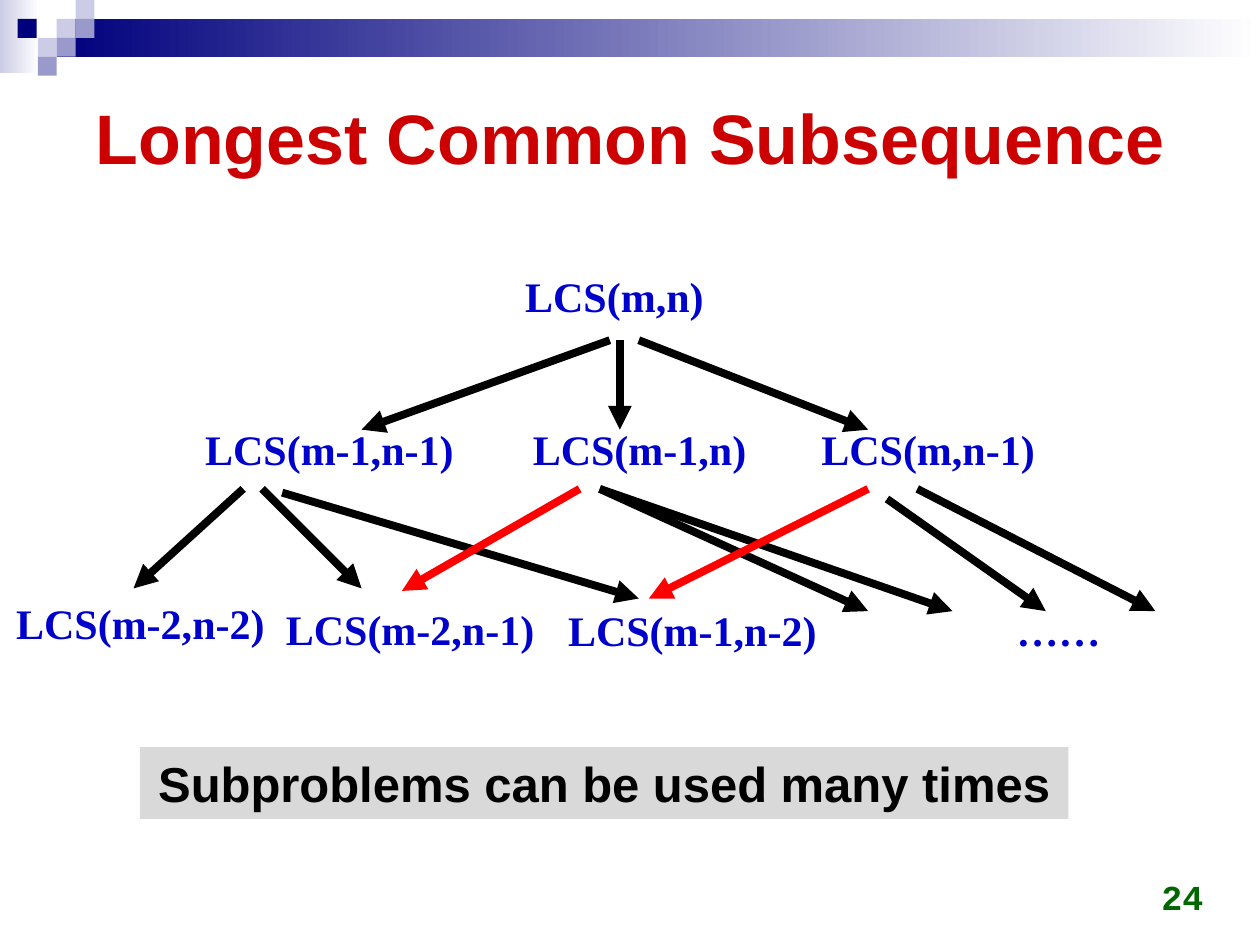
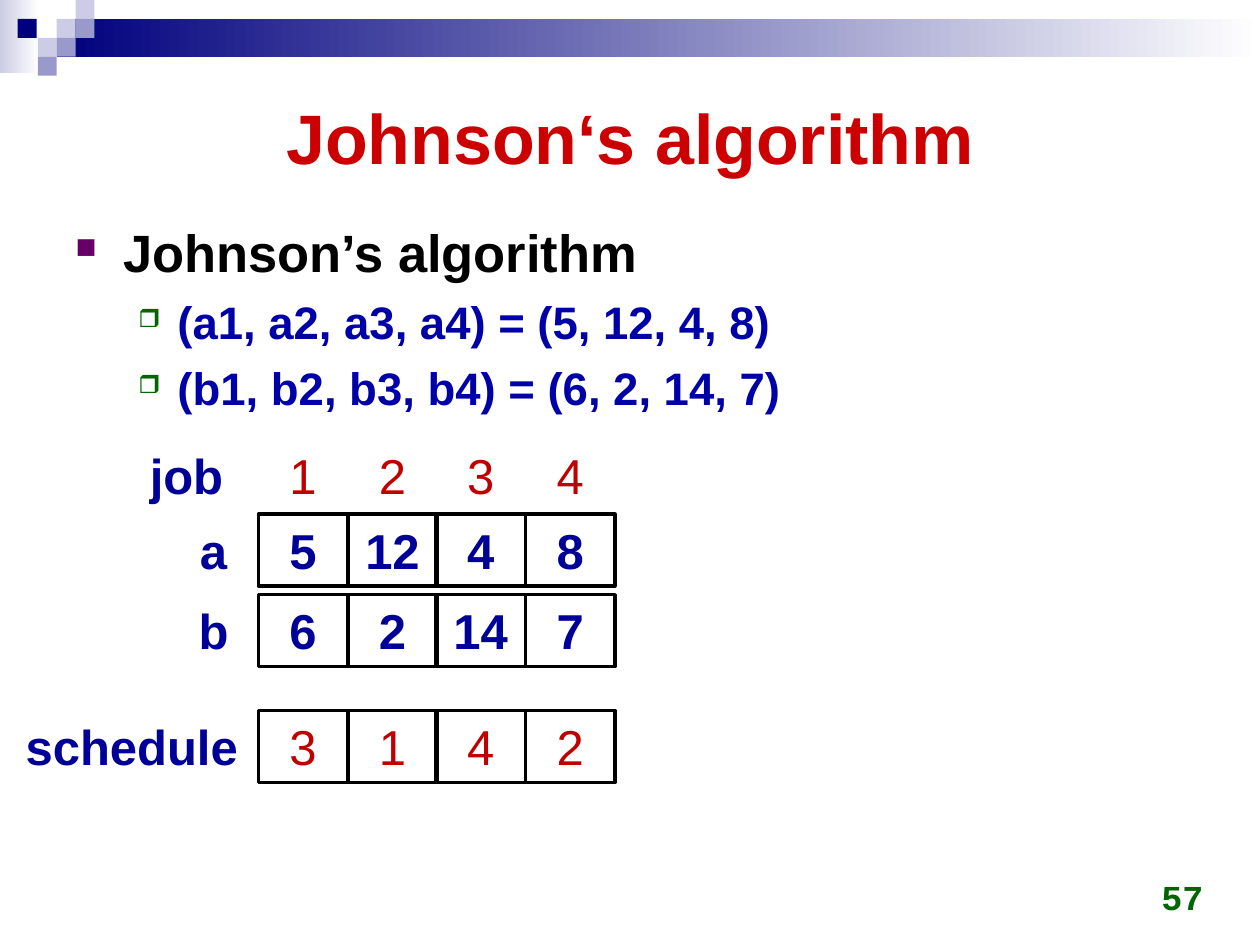
from pptx import Presentation
from pptx.dml.color import RGBColor
from pptx.enum.shapes import MSO_CONNECTOR, MSO_SHAPE
from pptx.enum.text import MSO_ANCHOR, PP_ALIGN
from pptx.oxml.ns import qn
from pptx.util import Emu, Pt
from lxml import etree

# 100 px to the inch
EMU_PER_PX = 9144
PAGE_WIDTH, PAGE_HEIGHT = 1000, 750

LEFT, CENTER, RIGHT = PP_ALIGN.LEFT, PP_ALIGN.CENTER, PP_ALIGN.RIGHT
TOP, MIDDLE, BOTTOM = MSO_ANCHOR.TOP, MSO_ANCHOR.MIDDLE, MSO_ANCHOR.BOTTOM
RECTANGLE = MSO_SHAPE.RECTANGLE
STRAIGHT = MSO_CONNECTOR.STRAIGHT

SANS, SERIF, MONO = "Arial", "Times New Roman", "Courier New"

BLACK = RGBColor(0x00, 0x00, 0x00)
WHITE = RGBColor(0xFF, 0xFF, 0xFF)
RED = RGBColor(0xFF, 0x00, 0x00)
NAVY = RGBColor(0x00, 0x00, 0x7D)
LILAC = RGBColor(0x99, 0x99, 0xCC)
PALE_LILAC = RGBColor(0xCC, 0xCC, 0xE6)
TITLE_RED = RGBColor(0xCC, 0x00, 0x00)
JOB_RED = RGBColor(0xC0, 0x00, 0x00)
GREEN = RGBColor(0x00, 0x66, 0x00)
PURPLE = RGBColor(0x66, 0x00, 0x66)
NODE_BLUE = RGBColor(0x00, 0x00, 0xCC)
LIST_BLUE = RGBColor(0x00, 0x00, 0xA8)
TABLE_BLUE = RGBColor(0x00, 0x00, 0x99)
GREY = RGBColor(0xD9, 0xD9, 0xD9)


def px(*lengths):
    return [Emu(length * EMU_PER_PX) for length in lengths]


# ---- Shared building parts ----
def style_runs(para, size, color, bold=True, font=SANS):
    for span in para.runs:
        span.font.name = font
        span.font.size = Pt(size)
        span.font.bold = bold
        span.font.color.rgb = color


def write(shape, text, size, color, bold=True, font=SANS, align=CENTER, anchor=TOP, wrap=True):
    frame = shape.text_frame
    frame.word_wrap = wrap
    frame.vertical_anchor = anchor
    frame.text = text
    para = frame.paragraphs[0]
    para.alignment = align
    style_runs(para, size, color, bold, font)


def add_label(page, box, text, size, color, **style):
    write(page.shapes.add_textbox(*px(*box)), text, size, color, **style)


def add_rectangle(page, box, fill=None, fade_to=None, outline=None):
    shape = page.shapes.add_shape(RECTANGLE, *px(*box))
    shape.shadow.inherit = False
    if fade_to is not None:
        shape.fill.gradient()
        shape.fill.gradient_angle = 0
        for stop, color, position in zip(shape.fill.gradient_stops, (fill, fade_to), (0, 1)):
            stop.color.rgb = color
            stop.position = position
    elif fill is not None:
        shape.fill.solid()
        shape.fill.fore_color.rgb = fill
    else:
        shape.fill.background()
    if outline is None:
        shape.line.fill.background()
    else:
        shape.line.color.rgb = outline
        shape.line.width = Pt(2)
    return shape


def add_arrow(page, start, end, color):
    arrow = page.shapes.add_connector(STRAIGHT, *px(*start, *end))
    arrow.line.color.rgb = color
    arrow.line.width = Pt(4.5)
    properties = arrow.element.spPr
    etree.SubElement(properties.find(qn("a:ln")), qn("a:tailEnd"), type="triangle")
    etree.SubElement(properties, qn("a:effectLst"))


def add_bullet(para, symbol, color, margin, hanging):
    properties = para._p.get_or_add_pPr()
    properties.set("marL", str(margin * EMU_PER_PX))
    properties.set("indent", str(-hanging * EMU_PER_PX))
    bullet_color = etree.SubElement(properties, qn("a:buClr"))
    etree.SubElement(bullet_color, qn("a:srgbClr"), val=str(color))
    etree.SubElement(properties, qn("a:buSzPct"), val="55000")
    etree.SubElement(properties, qn("a:buChar"), char=symbol)


# ---- Frame of every slide ----
def add_header_band(page):
    add_rectangle(page, (0, 0, 31, 58), PALE_LILAC, WHITE)
    add_rectangle(page, (45, 15, 955, 30), NAVY, WHITE)
    tiles = (
        (45, 15, PALE_LILAC), (60, 0, PALE_LILAC), (60, 15, LILAC),
        (30, 30, PALE_LILAC), (14, 15, NAVY), (45, 30, LILAC), (30, 45, LILAC),
    )
    for left, top, color in tiles:
        add_rectangle(page, (left, top, 15, 15), color)


def add_page(deck, title, number):
    page = deck.slides.add_slide(deck.slide_layouts[6])
    add_header_band(page)
    add_label(page, (50, 50, 900, 116), title, 40, TITLE_RED, anchor=MIDDLE)
    add_label(page, (732, 683, 233, 50), number, 20, GREEN, font=MONO, align=RIGHT, anchor=BOTTOM)
    return page


# ---- Recursion tree ----
def add_recursion_tree(page, left, top):
    nodes = (
        ("LCS(m,n)", 404, 0, 163),
        ("LCS(m-1,n-1)", 150, 121, 236),
        ("LCS(m-1,n)", 410, 121, 205),
        ("LCS(m,n-1)", 639, 121, 205),
        ("LCS(m-2,n-2)", 0, 259, 236),
        ("LCS(m-2,n-1)", 214, 264, 228),
        ("LCS(m-1,n-2)", 438, 265, 268),
        ("……", 794, 265, 92),
    )
    for text, x, y, width in nodes:
        add_label(page, (left + x, top + y, width, 50), text, 24, NODE_BLUE, font=SERIF, align=LEFT)

    # Red arrows lead to subproblems already met
    calls = (
        ((481, 60), (284, 131), BLACK),
        ((489, 60), (489, 131), BLACK),
        ((504, 60), (686, 131), BLACK),
        ((190, 178), (103, 257), BLACK),
        ((205, 178), (284, 257), BLACK),
        ((221, 181), (504, 265), BLACK),
        ((457, 178), (316, 259), RED),
        ((473, 178), (686, 275), BLACK),
        ((473, 178), (753, 275), BLACK),
        ((686, 178), (512, 265), RED),
        ((701, 186), (827, 275), BLACK),
        ((725, 178), (914, 275), BLACK),
    )
    for (x1, y1), (x2, y2), color in calls:
        add_arrow(page, (left + x1, top + y1), (left + x2, top + y2), color)


def build_subsequence_slide(deck):
    page = add_page(deck, "Longest Common Subsequence", "24")
    add_recursion_tree(page, 3, 210)
    remark = add_rectangle(page, (111, 593, 737, 57), GREY)
    write(remark, "Subproblems can be used many times", 28, BLACK, wrap=False)


# ---- Job scheduling ----
def add_job_list(page, box):
    frame = page.shapes.add_textbox(*px(*box)).text_frame
    frame.word_wrap = True
    main_level = (30, BLACK, "■", PURPLE, 38, 38)
    sub_level = (26, LIST_BLUE, "❒", GREEN, 81, 31)
    items = (
        ("Johnson’s algorithm", main_level),
        ("(a1, a2, a3, a4) = (5, 12, 4, 8)", sub_level),
        ("(b1, b2, b3, b4) = (6, 2, 14, 7)", sub_level),
    )
    for index, (text, level) in enumerate(items):
        size, color, symbol, symbol_color, margin, hanging = level
        para = frame.add_paragraph() if index else frame.paragraphs[0]
        para.text = text
        add_bullet(para, symbol, symbol_color, margin, hanging)
        para.line_spacing = 1.05
        if index:
            para.space_before = Pt(5)
        style_runs(para, size, color)


def add_job_grid(page, left, top):
    cell_width, cell_height, pitch = 71, 57, 70.67
    # Row label, label width, offset from top, values, boxed, value colour, bold
    rows = (
        ("job", 114, 0, (1, 2, 3, 4), False, JOB_RED, False),
        ("a", 71, 59, (5, 12, 4, 8), True, TABLE_BLUE, True),
        ("b", 71, 123, (6, 2, 14, 7), True, TABLE_BLUE, True),
        ("schedule", 201, 215, (3, 1, 4, 2), True, JOB_RED, False),
    )
    for label, label_width, offset, values, boxed, color, bold in rows:
        y = top + offset
        add_label(page, (left - label_width, y, label_width, cell_height), label, 28, TABLE_BLUE)
        for column, value in enumerate(values):
            box = (left + round(column * pitch), y, cell_width, cell_height)
            if boxed:
                write(add_rectangle(page, box, outline=BLACK), str(value), 28, color, bold)
            else:
                add_label(page, box, str(value), 28, color, bold=bold)


def build_johnson_slide(deck):
    page = add_page(deck, "Johnson‘s algorithm", "57")
    add_job_list(page, (50, 167, 900, 515))
    add_job_grid(page, 205, 349)


def main():
    deck = Presentation()
    deck.slide_width, deck.slide_height = px(PAGE_WIDTH, PAGE_HEIGHT)
    build_subsequence_slide(deck)
    build_johnson_slide(deck)
    deck.save("out.pptx")


if __name__ == "__main__":
    main()
